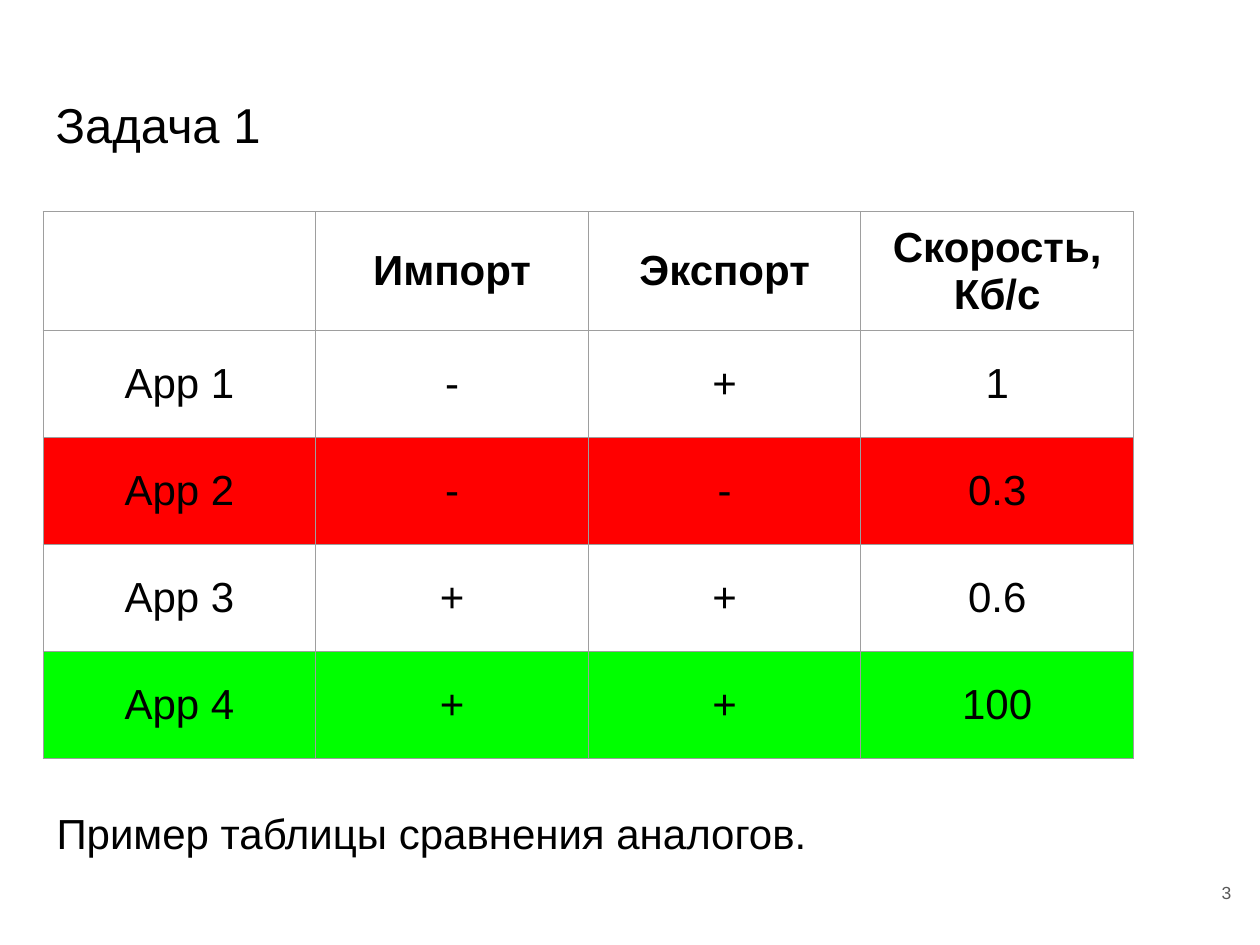
from lxml import etree
from pptx import Presentation
from pptx import util as u
from pptx.dml.color import RGBColor
from pptx.enum import text
from pptx.oxml import ns

COLORS = {
    "text": "000000",
    "number": "595959",
    "border": "9E9E9E",
    "worst": "FF0000",
    "best": "00FF00",
}
FONT = "Arial"
INSET = u.Cm(0.25)
ROWS = [
    ("", "Импорт", "Экспорт", "Скорость, Кб/с"),
    ("App 1", "-", "+", "1"),
    ("App 2", "-", "-", "0.3"),
    ("App 3", "+", "+", "0.6"),
    ("App 4", "+", "+", "100"),
]
ROW_FILLS = {2: "worst", 4: "best"}


def style_paragraph(paragraph, size, color="text", align=text.PP_ALIGN.LEFT, bold=False):
    paragraph.alignment = align
    font = paragraph.font
    font.name, font.size, font.bold = FONT, u.Pt(size), bold
    font.color.rgb = RGBColor.from_string(COLORS[color])


def fill_text(shape, box, content, size, anchor=text.MSO_ANCHOR.TOP, **style):
    shape.left, shape.top, shape.width, shape.height = box
    frame = shape.text_frame
    frame.text = content
    frame.word_wrap = True
    frame.auto_size = text.MSO_AUTO_SIZE.NONE
    frame.vertical_anchor = anchor
    frame.margin_left = frame.margin_right = INSET
    frame.margin_top = frame.margin_bottom = INSET
    style_paragraph(frame.paragraphs[0], size, **style)


def add_text(slide, box, content, size, **style):
    fill_text(slide.shapes.add_textbox(*box), box, content, size, **style)


def add_borders(cell):
    properties = cell._tc.get_or_add_tcPr()
    for position, side in enumerate(("lnL", "lnR", "lnT", "lnB")):
        line = etree.Element(ns.qn(f"a:{side}"), w=str(u.Pt(0.75)))
        fill = etree.SubElement(line, ns.qn("a:solidFill"))
        etree.SubElement(fill, ns.qn("a:srgbClr"), val=COLORS["border"])
        properties.insert(position, line)


def style_cell(cell, content, fill, bold):
    cell.text = content
    cell.vertical_anchor = text.MSO_ANCHOR.MIDDLE
    cell.margin_left = cell.margin_right = INSET
    cell.margin_top = cell.margin_bottom = INSET
    style_paragraph(cell.text_frame.paragraphs[0], 24,
                    align=text.PP_ALIGN.CENTER, bold=bold)
    if fill:
        cell.fill.solid()
        cell.fill.fore_color.rgb = RGBColor.from_string(COLORS[fill])
    else:
        cell.fill.background()
    add_borders(cell)


def add_comparison_table(slide, box):
    table = slide.shapes.add_table(len(ROWS), len(ROWS[0]), *box).table
    table.first_row = table.horz_banding = False
    for row_index, row in enumerate(ROWS):
        for column_index, content in enumerate(row):
            style_cell(table.cell(row_index, column_index), content,
                       ROW_FILLS.get(row_index), bold=row_index == 0)


def box_cm(*lengths):
    return [u.Cm(length) for length in lengths]


def main():
    presentation = Presentation()
    presentation.slide_width, presentation.slide_height = u.Cm(25.4), u.Cm(19.05)
    slide = presentation.slides.add_slide(presentation.slide_layouts[5])

    # Title
    fill_text(slide.shapes.title, box_cm(0.87, 1.65, 23.67, 2.12), "Задача 1", 28)

    # Slide number
    add_text(slide, box_cm(23.55, 17.27, 1.52, 1.46), "3", 10, color="number",
             anchor=text.MSO_ANCHOR.MIDDLE, align=text.PP_ALIGN.RIGHT)

    # Comparison table
    add_comparison_table(slide, box_cm(0.87, 4.27, 21.98, 10.8))

    # Caption
    add_text(slide, box_cm(0.89, 16.03, 21.97, 2.87),
             "Пример таблицы сравнения аналогов.", 24)

    presentation.save("out.pptx")


if __name__ == "__main__":
    main()
